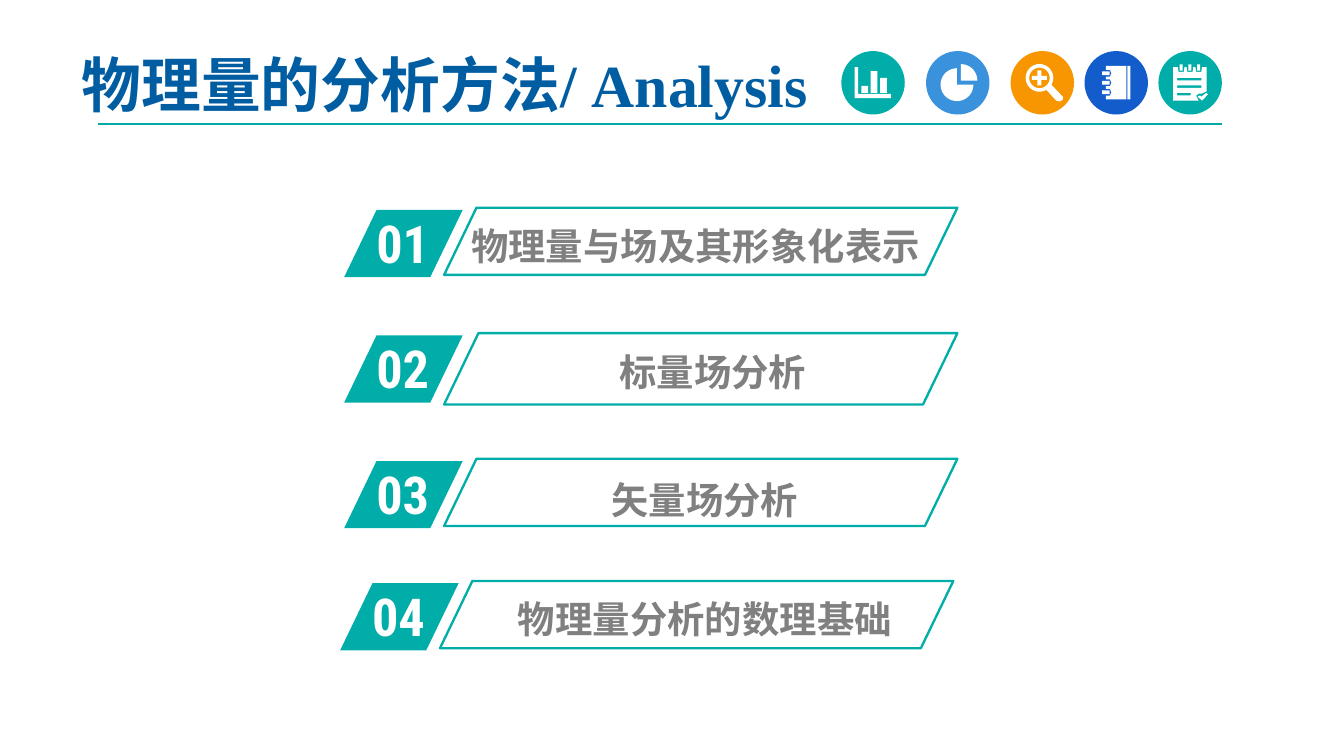
from dataclasses import dataclass
from math import cos, radians, sin

from lxml.etree import SubElement
from pptx import Presentation
from pptx.dml.color import RGBColor
from pptx.enum.shapes import MSO_CONNECTOR as Connector, MSO_SHAPE as Preset
from pptx.enum.text import MSO_ANCHOR as Anchor, MSO_AUTO_SIZE as AutoSize, PP_ALIGN as Align
from pptx.oxml.ns import qn
from pptx.util import Pt

Point = tuple[float, float]
Contour = list[Point]

TEAL = "00ADA9"
WHITE = "FFFFFF"
CJK = "Noto Sans CJK SC"
SLANT = 0.482
DISC_TOP, DISC_SIZE = 27.36, 34


@dataclass
class Topic:
    number: str
    label: str
    left: float
    top: float
    label_left: float
    label_top: float
    frame_height: float = 36
    spacing: float = 1.0


@dataclass
class Icon:
    left: float
    color: str
    contours: list[Contour]


def rgb(color: str) -> RGBColor:
    return RGBColor.from_string(color)


def paint(shape, color: str) -> None:
    shape.shadow.inherit = False
    shape.fill.solid()
    shape.fill.fore_color.rgb = rgb(color)
    shape.line.fill.background()


def write(shapes, text: str, box: tuple[float, float, float, float], size: float,
          font: str, color: str, align=Align.LEFT, spacing: float = 1.0):
    frame = shapes.add_textbox(*map(Pt, box)).text_frame
    frame.word_wrap = True
    paragraph = frame.paragraphs[0]
    paragraph.alignment = align
    paragraph.line_spacing = spacing
    run = paragraph.add_run()
    run.text = text
    run.font.size, run.font.bold, run.font.name = Pt(size), True, font
    run.font.color.rgb = rgb(color)
    SubElement(run.font._element, qn("a:ea"), typeface=CJK)
    return frame


def slanted(shapes, left: float, top: float, width: float, height: float):
    shape = shapes.add_shape(Preset.PARALLELOGRAM, Pt(left), Pt(top), Pt(width), Pt(height))
    shape.adjustments[0] = SLANT
    shape.shadow.inherit = False
    return shape


def draw_topic(shapes, topic: Topic) -> None:
    badge = shapes.add_group_shape().shapes
    paint(slanted(badge, topic.left, topic.top, 63.5, 36), TEAL)
    number = write(badge, topic.number, (topic.left + 10.1, topic.top - 3, 60.5, 41),
                   28, "Roboto Condensed", WHITE)
    number.auto_size = AutoSize.SHAPE_TO_FIT_TEXT

    label = write(shapes, topic.label, (topic.label_left, topic.label_top, 251.3, 29.5),
                  20, CJK, "808080", Align.CENTER, topic.spacing)
    label.margin_left = label.margin_right = Pt(5)
    label.margin_top = label.margin_bottom = Pt(2.9)
    label.auto_size = AutoSize.SHAPE_TO_FIT_TEXT

    frame = slanted(shapes, topic.left + 53.5, topic.top - 1.2, 275, topic.frame_height)
    frame.fill.background()
    frame.line.color.rgb = rgb(TEAL)
    frame.line.width = Pt(1.25)


def block(left: float, top: float, right: float, bottom: float) -> Contour:
    return [(left, top), (right, top), (right, bottom), (left, bottom)]


def arc(x: float, y: float, radius: float, start: int, end: int) -> Contour:
    return [(x + radius * cos(radians(a)), y + radius * sin(radians(a)))
            for a in range(start, end + 1, 10)]


def bar_chart() -> list[Contour]:
    axes = [(7.2, 8.6), (9, 8.6), (9, 23), (26.6, 23), (26.6, 25.2), (7.2, 25.2)]
    tops = (18.7, 10.8, 14.4)
    return [axes] + [block(10.8 + 5 * i, top, 14.4 + 5 * i, 22.4) for i, top in enumerate(tops)]


def pie_chart() -> list[Contour]:
    return [[(18.7, 15.8)] + arc(18.7, 15.8, 8.8, -90, 0),
            [(16.6, 18)] + arc(16.6, 18, 8.8, 0, 270)]


def magnifier() -> list[Contour]:
    x, y, reach, half = 15.5, 14.4, 4, 1.1
    handle = [(28, 24.5), (28, 26), (26.5, 27), (24.5, 26.6)]
    plus = [(x - reach, y - half), (x - half, y - half), (x - half, y - reach),
            (x + half, y - reach), (x + half, y - half), (x + reach, y - half),
            (x + reach, y + half), (x + half, y + half), (x + half, y + reach),
            (x - half, y + reach), (x - half, y + half), (x - reach, y + half)]
    return [arc(x, y, 7.4, 60, 390) + handle, arc(x, y, 5.5, 0, 350), plus]


def notebook() -> list[Contour]:
    ring_heights = [11.9 + 5.1 * i for i in range(3)]
    cover = [(22.4, 25.9), (22.4, 7.9), (11.5, 7.9)]
    for y in ring_heights:
        cover += [(11.5, y - 1.8), (13.6, y - 1.8), (14.4, y),
                  (13.6, y + 1.8), (11.5, y + 1.8)]
    cover.append((11.5, 25.9))
    rings = [block(9.4, y - 1, 13.5, y + 1) for y in ring_heights]
    return [cover, block(23, 7.9, 24.5, 25.9)] + rings


def checklist() -> list[Contour]:
    ring_centers = [12.2 + 4.7 * i for i in range(3)]
    sheet = [(7.9, 26.6), (7.9, 8.6)]
    for x in ring_centers:
        sheet += [(x - 1.8, 8.6), (x - 1.4, 11.2), (x + 1.4, 11.2), (x + 1.8, 8.6)]
    sheet += [(25.9, 8.6), (25.9, 21.6), (23, 22.9), (21.5, 22.9), (20.2, 24), (21.6, 26.6)]
    tick = [(21, 24.5), (22.3, 23.8), (23, 24.5), (25.6, 22.5), (26.6, 23.2), (23.4, 26.6)]
    rings = [block(x - 0.8, 7.2, x + 0.8, 10.6) for x in ring_centers]
    entries = [block(10.1, 14.4, 23, 15.8), block(10.1, 18.4, 23, 19.8),
               block(10.1, 22.4, 17.3, 23.8)]
    return [sheet, tick] + rings + entries


def draw_icon(shapes, icon: Icon) -> None:
    group = shapes.add_group_shape().shapes
    disc = group.add_shape(Preset.OVAL, Pt(icon.left), Pt(DISC_TOP), Pt(DISC_SIZE), Pt(DISC_SIZE))
    paint(disc, icon.color)
    placed = [[(Pt(icon.left + x), Pt(DISC_TOP + y)) for x, y in contour]
              for contour in icon.contours]
    outline = group.build_freeform(*placed[0][0])
    for contour in placed:
        outline.move_to(*contour[0])
        outline.add_line_segments(contour[1:], close=True)
    paint(outline.convert_to_shape(), WHITE)


TOPICS = [
    Topic("01", "物理量与场及其形象化表示", 184.4, 112.5, 247, 116.6),
    Topic("02", "标量场分析", 184.4, 179.7, 256.3, 184.3, frame_height=38.2),
    Topic("03", "矢量场分析", 184.4, 247, 252, 252.7),
    Topic("04", "物理量分析的数理基础", 182.2, 312.5, 252, 311.8, spacing=1.2),
]
ICONS = [
    Icon(620.6, TEAL, checklist()),
    Icon(541.4, "F79600", magnifier()),
    Icon(581, "125CCB", notebook()),
    Icon(450.7, TEAL, bar_chart()),
    Icon(496.1, "3992DB", pie_chart()),
]


def main() -> None:
    deck = Presentation()
    deck.slide_width, deck.slide_height = Pt(720), Pt(405)
    shapes = deck.slides.add_slide(deck.slide_layouts[6]).shapes

    title = write(shapes, "物理量的分析方法/ Analysis", (36.7, 22.3, 433.4, 45.4),
                  32, "Times New Roman", "005DA2")
    title.vertical_anchor = Anchor.MIDDLE

    rule = shapes.add_connector(Connector.STRAIGHT, Pt(52.6), Pt(66.5), Pt(654.5), Pt(66.5))
    rule.line.color.rgb = rgb("00A9A5")
    rule.line.width = Pt(0.75)
    SubElement(rule._element.spPr, qn("a:effectLst"))

    for topic in TOPICS:
        draw_topic(shapes, topic)
    for icon in ICONS:
        draw_icon(shapes, icon)
    deck.save("out.pptx")


if __name__ == "__main__":
    main()
